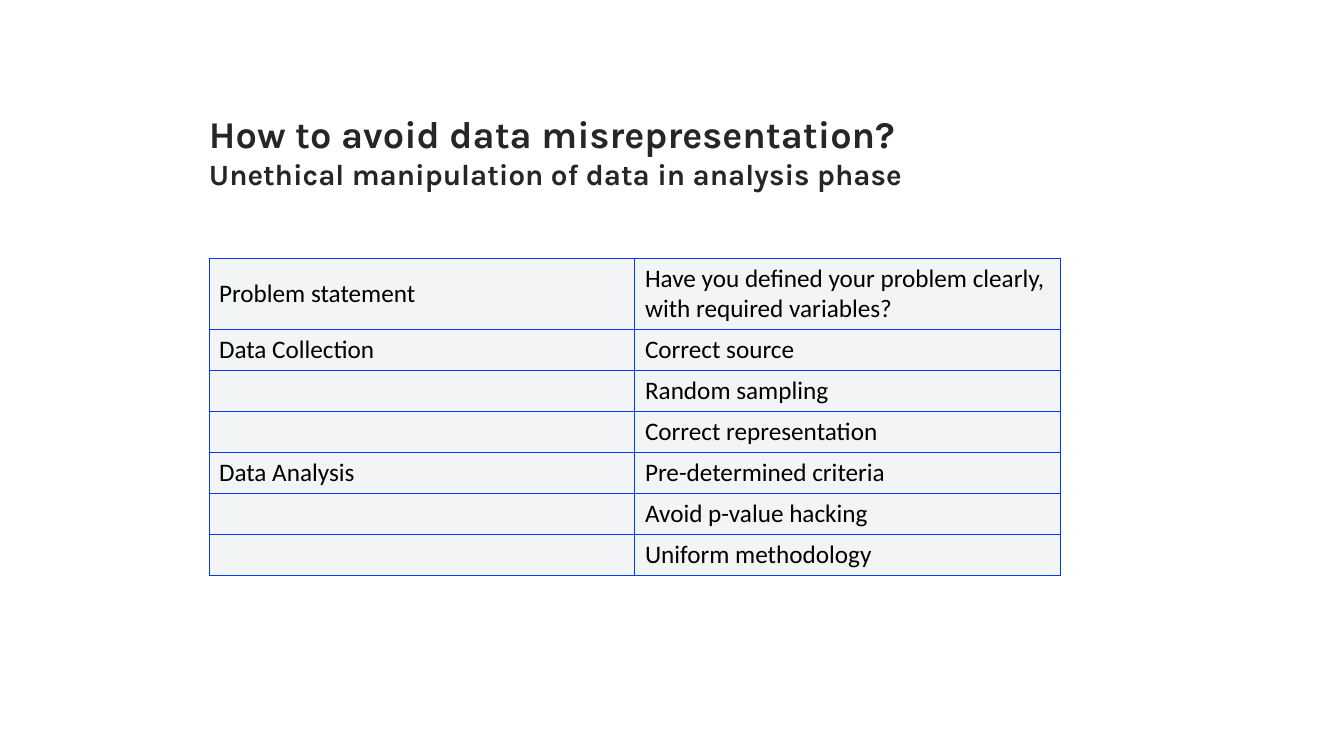
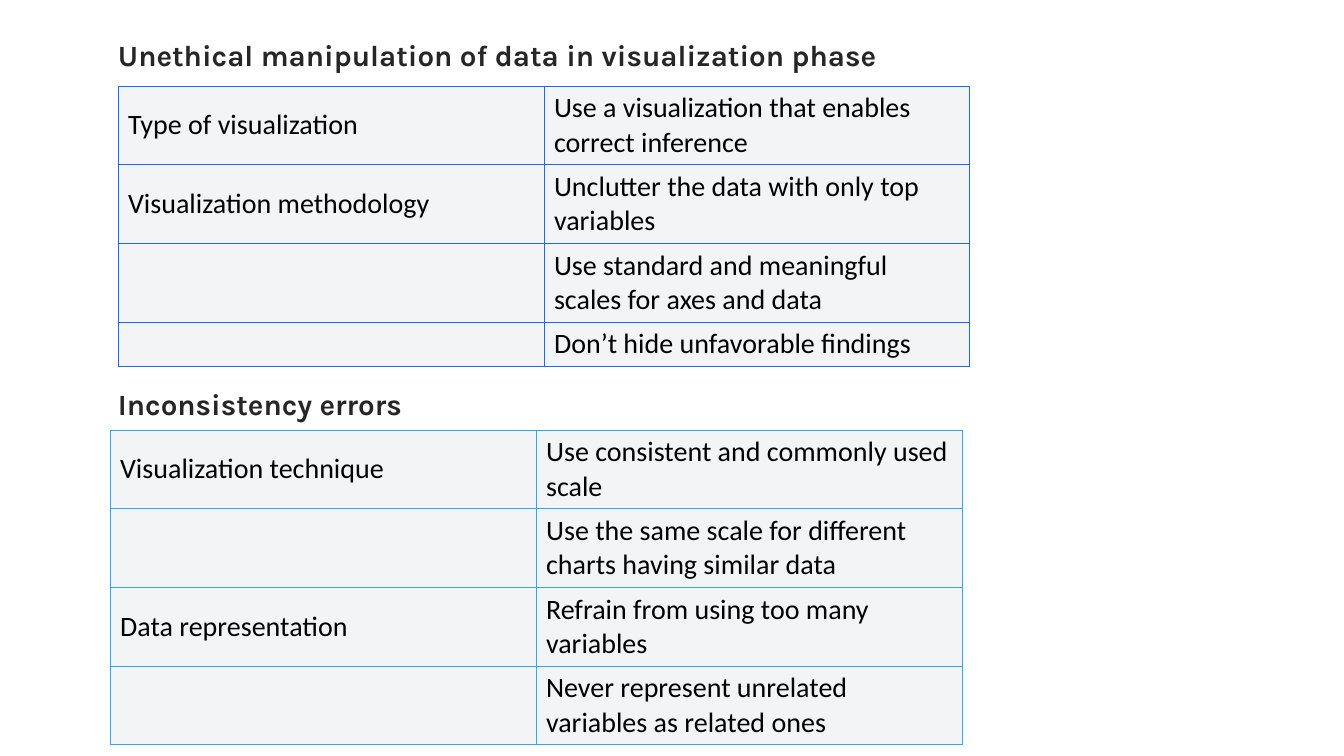
from lxml import etree
from pptx import Presentation
from pptx import util as u
from pptx.dml.color import RGBColor
from pptx.enum import text
from pptx.oxml.ns import qn


def rgb(value):
    return RGBColor.from_string(value)


def px(n):
    return u.Emu(round(n * 914400 / 100.8))


class Deck:
    INK = "262626"
    CELL_INK = "000000"
    CELL_FILL = "F3F4F5"
    HEAD_FONT = "Karla"
    CELL_FONT = "Calibri"
    HEAD_SIZE = 21
    COLUMN = 426

    def __init__(self):
        self.prs = Presentation()
        self.prs.slide_width = px(1344)
        self.prs.slide_height = px(756)
        self.s = None

    def slide(self):
        self.s = self.prs.slides.add_slide(self.prs.slide_layouts[5])

    def font(self, p, name, size, color, bold=False):
        for r in p.runs:
            r.font.name = name
            r.font.size = u.Pt(size)
            r.font.bold = bold
            r.font.color.rgb = rgb(color)

    def heading(self, sp, lines):
        tf = sp.text_frame
        tf.text = "\n".join(line for line, size in lines)
        tf.word_wrap = True
        tf.auto_size = text.MSO_AUTO_SIZE.NONE
        tf.vertical_anchor = text.MSO_ANCHOR.TOP
        tf.margin_left = tf.margin_top = tf.margin_right = tf.margin_bottom = 0
        for p, (line, size) in zip(tf.paragraphs, lines):
            p.alignment = text.PP_ALIGN.LEFT
            p.line_spacing = 1.0
            p.space_before = u.Pt(0)
            self.font(p, self.HEAD_FONT, size, self.INK, True)

    def title(self, x, y, w, h, lines):
        sp = self.s.shapes.title
        sp.left, sp.top, sp.width, sp.height = map(px, (x, y, w, h))
        self.heading(sp, lines)

    def subtitle(self, x, y, w, h, line):
        sp = self.s.shapes.add_textbox(*map(px, (x, y, w, h)))
        self.heading(sp, [(line, self.HEAD_SIZE)])

    def border(self, cell, color):
        props = cell._tc.get_or_add_tcPr()
        for i, side in enumerate(("lnL", "lnR", "lnT", "lnB")):
            ln = etree.Element(qn("a:" + side), w=str(u.Pt(0.75)))
            fill = etree.SubElement(ln, qn("a:solidFill"))
            etree.SubElement(fill, qn("a:srgbClr"), val=color)
            props.insert(i, ln)

    def table(self, x, y, heights, size, line, rows):
        frame = self.s.shapes.add_table(
            len(rows), 2, px(x), px(y), px(2 * self.COLUMN), px(sum(heights)))
        tbl = frame.table
        tbl.first_row = tbl.horz_banding = False
        for column in tbl.columns:
            column.width = px(self.COLUMN)
        for row, height, values in zip(tbl.rows, heights, rows):
            row.height = px(height)
            for cell, value in zip(row.cells, values):
                cell.text = value
                cell.vertical_anchor = text.MSO_ANCHOR.MIDDLE
                cell.fill.solid()
                cell.fill.fore_color.rgb = rgb(self.CELL_FILL)
                self.border(cell, line)
                self.font(cell.text_frame.paragraphs[0],
                          self.CELL_FONT, size, self.CELL_INK)


def main():
    d = Deck()

    d.slide()
    d.title(209, 111, 1000, 90, [
        ("How to avoid data misrepresentation?", 27),
        ("Unethical manipulation of data in analysis phase", d.HEAD_SIZE),
    ])
    d.table(209, 258, [71] + [41] * 6, 18, "003CF3", [
        ("Problem statement",
         "Have you defined your problem clearly, with required variables?"),
        ("Data Collection", "Correct source"),
        ("", "Random sampling"),
        ("", "Correct representation"),
        ("Data Analysis", "Pre-determined criteria"),
        ("", "Avoid p-value hacking"),
        ("", "Uniform methodology"),
    ])

    d.slide()
    d.title(118, 37, 1000, 36, [
        ("Unethical manipulation of data in visualization phase", d.HEAD_SIZE),
    ])
    d.table(118, 86, [78] * 3 + [44], 20, "2065FE", [
        ("Type of visualization",
         "Use a visualization that enables correct inference"),
        ("Visualization methodology",
         "Unclutter the data with only top variables"),
        ("", "Use standard and meaningful scales for axes and data"),
        ("", "Don’t hide unfavorable findings"),
    ])
    d.subtitle(118, 386, 1000, 36, "Inconsistency errors")
    d.table(110, 430, [78] * 4, 20, "30A7F9", [
        ("Visualization technique", "Use consistent and commonly used scale"),
        ("", "Use the same scale for different charts having similar data"),
        ("Data representation", "Refrain from using too many variables"),
        ("", "Never represent unrelated variables as related ones"),
    ])

    d.prs.save("out.pptx")


if __name__ == "__main__":
    main()
